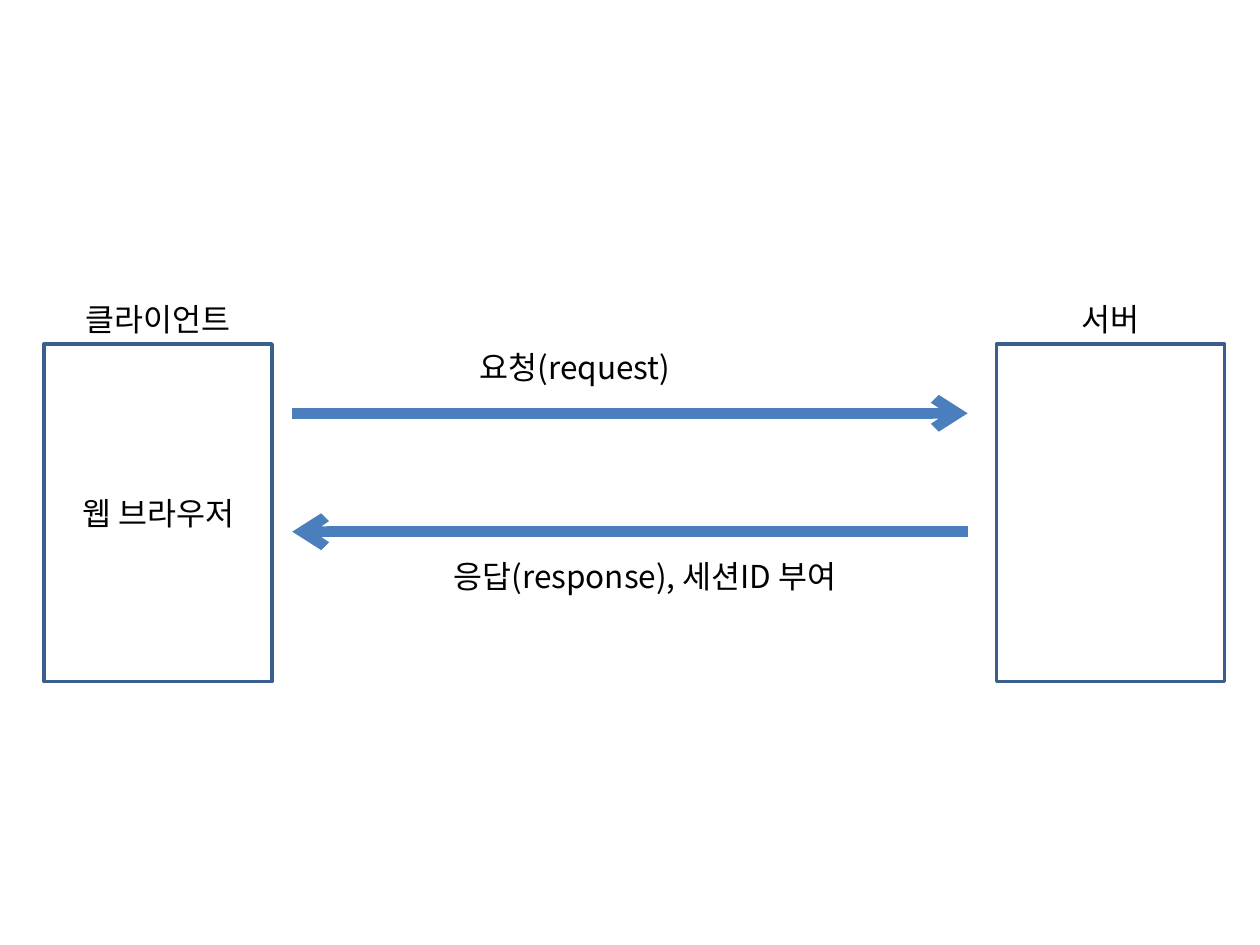
"""Build a slide showing a client request and a server response."""
from pptx import Presentation
from pptx.dml.color import RGBColor
from pptx.enum.shapes import MSO_CONNECTOR, MSO_SHAPE
from pptx.enum.text import MSO_ANCHOR, MSO_AUTO_SIZE, PP_ALIGN
from pptx.oxml.ns import qn
from pptx.util import Inches, Pt
from lxml.etree import SubElement

FONT = "Noto Sans CJK KR"
COLORS = {"text": "000000", "fill": "FFFFFF", "border": "3A5F8C", "arrow": "4B7EBC"}
BOX_TOP, BOX_W, BOX_H, LABEL_H = 2.73, 1.81, 2.68, 0.4

NODES = [
    (0.35, "클라이언트", "웹 브라우저"),
    (7.91, "서버", ""),
]
MESSAGES = [
    (2.32, 7.68, 3.28, "요청(request)", (3.66, 2.71, 1.81)),
    (7.68, 2.32, 4.22, "응답(response), 세션ID 부여", (3.23, 4.37, 3.78)),
]


def color(name):
    return RGBColor.from_string(COLORS[name])


def write(tf, text):
    p = tf.paragraphs[0]
    p.alignment = PP_ALIGN.CENTER
    r = p.add_run()
    r.text = text
    r.font.size = Pt(18)
    r.font.name = FONT
    r.font.color.rgb = color("text")
    SubElement(r.font._element, qn("a:ea")).set("typeface", FONT)


def add_label(s, text, left, top, width):
    sp = s.shapes.add_textbox(Inches(left), Inches(top), Inches(width), Inches(LABEL_H))
    tf = sp.text_frame
    tf.word_wrap = True
    tf.auto_size = MSO_AUTO_SIZE.SHAPE_TO_FIT_TEXT
    write(tf, text)


def add_node(s, left, label, content):
    sp = s.shapes.add_shape(MSO_SHAPE.RECTANGLE, Inches(left), Inches(BOX_TOP),
                            Inches(BOX_W), Inches(BOX_H))
    sp.shadow.inherit = False
    sp.fill.solid()
    sp.fill.fore_color.rgb = color("fill")
    sp.line.color.rgb = color("border")
    sp.line.width = Pt(2)
    if content:
        sp.text_frame.vertical_anchor = MSO_ANCHOR.MIDDLE
        write(sp.text_frame, content)
    add_label(s, label, left, BOX_TOP - LABEL_H, BOX_W)


def add_arrow(s, start, end, y):
    line = s.shapes.add_connector(MSO_CONNECTOR.STRAIGHT, Inches(start), Inches(y),
                                  Inches(end), Inches(y))
    line.line.color.rgb = color("arrow")
    line.line.width = Pt(6)
    SubElement(line.line._get_or_add_ln(), qn("a:tailEnd")).set("type", "arrow")
    SubElement(line._element.spPr, qn("a:effectLst"))


prs = Presentation()
prs.slide_width, prs.slide_height = Inches(10), Inches(7.5)
s = prs.slides.add_slide(prs.slide_layouts[6])
for left, label, content in NODES:
    add_node(s, left, label, content)
for start, end, y, text, place in MESSAGES:
    add_arrow(s, start, end, y)
    add_label(s, text, *place)
prs.save("out.pptx")
